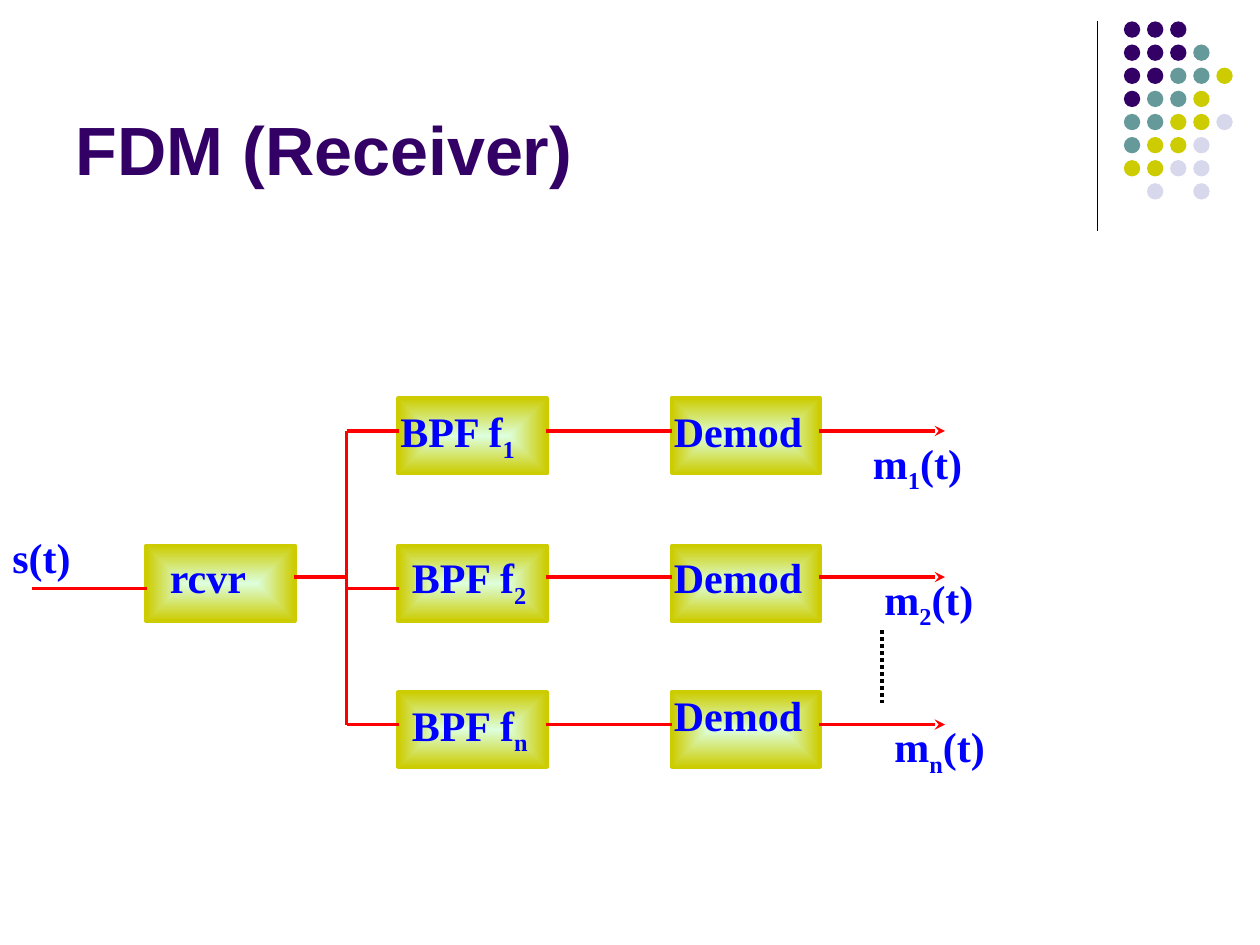
from dataclasses import dataclass

import pptx
import pptx.dml.color
import pptx.enum.dml
import pptx.enum.shapes
import pptx.enum.text
import pptx.oxml
import pptx.oxml.ns
import pptx.shapes.autoshape
import pptx.shapes.connector
import pptx.slide
import pptx.text.text
import pptx.util

Inches = pptx.util.Inches
Pt = pptx.util.Pt
RGB = pptx.dml.color.RGBColor.from_string
SHAPE = pptx.enum.shapes.MSO_SHAPE
qn = pptx.oxml.ns.qn


@dataclass(frozen=True)
class Theme:
    title: str = "330066"
    label: str = "0000FF"
    signal: str = "FF0000"
    rule: str = "000000"
    block_edge: str = "CCCC00"
    block_center: str = "DDFFDD"
    title_font: str = "Arial"
    label_font: str = "Times New Roman"
    title_size: float = 39
    label_size: float = 24
    line_width: float = 2


@dataclass(frozen=True)
class Label:
    left: float
    top: float
    width: float
    base: str
    subscript: str = ""
    ending: str = ""


@dataclass(frozen=True)
class Wire:
    x1: float
    y1: float
    x2: float
    y2: float
    arrow: bool = False


@dataclass(frozen=True)
class Branch:
    block_top: float
    wire_y: float
    inlet_y: float
    filter_label: Label
    demod_label: Label
    output_label: Label


THEME = Theme()
DOT_COLORS = {"P": "330066", "T": "669999", "Y": "CCCC00", "L": "D8D8EC"}
DOT_ROWS = ("PPP", "PPPT", "PPTTY", "PTTY", "TTYYL", "TYYL", "YYLL", " L L")
RECEIVER_LEFT, FILTER_LEFT, DEMOD_LEFT = 1.16, 3.16, 5.33
BUS_X = 2.75
BRANCHES = (
    Branch(3.16, 3.42, 3.42, Label(3.08, 3.17, 1.33, "BPF f", "1"),
           Label(5.25, 3.17, 1.33, "Demod"), Label(6.83, 3.42, 2.58, "m", "1", "(t)")),
    Branch(4.33, 4.58, 4.67, Label(3.17, 4.33, 1.33, "BPF f", "2"),
           Label(5.25, 4.33, 1.33, "Demod"), Label(6.92, 4.5, 2.58, "m", "2", "(t)")),
    Branch(5.49, 5.75, 5.75, Label(3.17, 5.5, 1.33, "BPF f", "n"),
           Label(5.25, 5.42, 1.33, "Demod"), Label(7, 5.67, 2.58, "m", "n", "(t)")),
)


def set_font(para: pptx.text.text._Paragraph, name: str, size: float, color: str) -> None:
    para.font.name = name
    para.font.size = Pt(size)
    para.font.bold = True
    para.font.color.rgb = RGB(color)


def add_title(page: pptx.slide.Slide, text: str) -> None:
    title = page.shapes.title
    title.left, title.top = Inches(0.5), Inches(0.13)
    title.width, title.height = Inches(8.25), Inches(1.42)
    frame = title.text_frame
    frame.text = text
    frame.auto_size = pptx.enum.text.MSO_AUTO_SIZE.NONE
    frame.vertical_anchor = pptx.enum.text.MSO_ANCHOR.BOTTOM
    para = frame.paragraphs[0]
    para.alignment = pptx.enum.text.PP_ALIGN.LEFT
    set_font(para, THEME.title_font, THEME.title_size, THEME.title)


def add_dots(page: pptx.slide.Slide) -> None:
    pitch, size = 0.1835, 0.13
    for row, codes in enumerate(DOT_ROWS):
        for column, code in enumerate(codes):
            if code in DOT_COLORS:
                dot = page.shapes.add_shape(
                    SHAPE.OVAL, Inches(8.92 + column * pitch),
                    Inches(0.17 + row * pitch), Inches(size), Inches(size))
                dot.shadow.inherit = False
                dot.fill.solid()
                dot.fill.fore_color.rgb = RGB(DOT_COLORS[code])
                dot.line.fill.background()


def add_block(page: pptx.slide.Slide, left: float, top: float) -> None:
    block = page.shapes.add_shape(
        SHAPE.RECTANGLE, Inches(left), Inches(top), Inches(1.18), Inches(0.6))
    block.shadow.inherit = False
    block.line.color.rgb = RGB(THEME.block_edge)
    block.line.width = Pt(THEME.line_width)
    block.fill.gradient()
    for stop, color in zip(block.fill.gradient_stops, (THEME.block_center, THEME.block_edge)):
        stop.color.rgb = RGB(color)
    gradient = block.element.spPr.find(qn("a:gradFill"))
    gradient.replace(gradient.find(qn("a:lin")), pptx.oxml.parse_xml(
        f'<a:path {pptx.oxml.ns.nsdecls("a")} path="rect">'
        '<a:fillToRect l="50000" t="50000" r="50000" b="50000"/></a:path>'))


def add_wire(page: pptx.slide.Slide, wire: Wire, color: str = THEME.signal,
             width: float = THEME.line_width) -> pptx.shapes.connector.Connector:
    line = page.shapes.add_connector(
        pptx.enum.shapes.MSO_CONNECTOR.STRAIGHT, Inches(wire.x1), Inches(wire.y1),
        Inches(wire.x2), Inches(wire.y2))
    line.line.color.rgb = RGB(color)
    line.line.width = Pt(width)
    if wire.arrow:
        line.line._get_or_add_ln().append(pptx.oxml.parse_xml(
            f'<a:tailEnd {pptx.oxml.ns.nsdecls("a")} type="stealth"/>'))
    line.element.spPr.append(pptx.oxml.parse_xml(
        f'<a:effectLst {pptx.oxml.ns.nsdecls("a")}/>'))
    return line


def add_label(page: pptx.slide.Slide, label: Label) -> None:
    height = 0.56 if label.subscript else 0.5
    box = page.shapes.add_textbox(
        Inches(label.left), Inches(label.top), Inches(label.width), Inches(height))
    frame = box.text_frame
    frame.word_wrap = True
    frame.auto_size = pptx.enum.text.MSO_AUTO_SIZE.SHAPE_TO_FIT_TEXT
    para = frame.paragraphs[0]
    para.space_before = Pt(15)
    set_font(para, THEME.label_font, THEME.label_size, THEME.label)
    for text in (label.base, label.subscript, label.ending):
        if text:
            span = para.add_run()
            span.text = text
            if text == label.subscript:
                span.font._element.set("baseline", "-25000")


def main() -> None:
    deck = pptx.Presentation()
    deck.slide_width, deck.slide_height = Inches(10), Inches(7.5)
    page = deck.slides.add_slide(deck.slide_layouts[5])

    add_wire(page, Wire(8.71, 0.17, 8.71, 1.83), THEME.rule, 0.75)
    add_dots(page)
    add_title(page, "FDM (Receiver)")

    add_block(page, RECEIVER_LEFT, BRANCHES[1].block_top)
    for branch in BRANCHES:
        add_block(page, FILTER_LEFT, branch.block_top)
        add_block(page, DEMOD_LEFT, branch.block_top)

    add_wire(page, Wire(0.25, 4.67, 1.17, 4.67))
    add_wire(page, Wire(2.33, 4.58, BUS_X, 4.58))
    add_wire(page, Wire(BUS_X, BRANCHES[0].wire_y, BUS_X, BRANCHES[-1].wire_y))
    add_label(page, Label(0, 4.17, 0.75, "s(t)"))
    add_label(page, Label(1.25, 4.33, 1.33, "rcvr"))
    for branch in BRANCHES:
        add_wire(page, Wire(BUS_X, branch.inlet_y, 3.17, branch.inlet_y))
        add_wire(page, Wire(4.33, branch.wire_y, 5.33, branch.wire_y))
        add_wire(page, Wire(6.5, branch.wire_y, 7.5, branch.wire_y, arrow=True))
        for label in (branch.filter_label, branch.demod_label, branch.output_label):
            add_label(page, label)

    ellipsis = add_wire(page, Wire(7, 5, 7, 5.58), THEME.rule)
    ellipsis.line.dash_style = pptx.enum.dml.MSO_LINE.ROUND_DOT
    deck.save("out.pptx")


if __name__ == "__main__":
    main()
